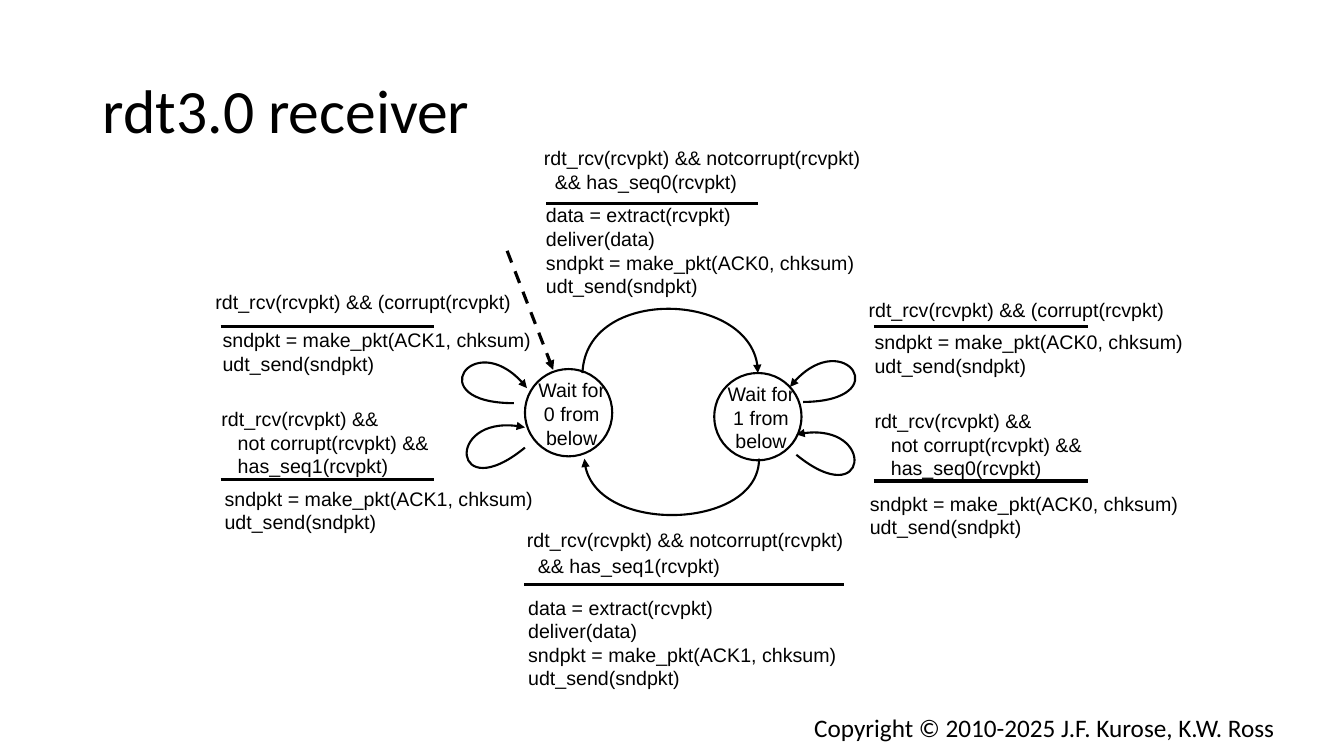
"""Build the rdt3.0 receiver state machine slide."""
from dataclasses import dataclass

from lxml import etree
from pptx import Presentation
from pptx.dml.color import RGBColor
from pptx.enum.dml import MSO_LINE
from pptx.enum.shapes import MSO_CONNECTOR, MSO_SHAPE
from pptx.enum.text import MSO_ANCHOR, PP_ALIGN
from pptx.oxml.ns import qn
from pptx.util import Cm, Pt

ELLIPSE = MSO_SHAPE.OVAL
STRAIGHT = MSO_CONNECTOR.STRAIGHT
DASH = MSO_LINE.DASH
LEFT, CENTER = PP_ALIGN.LEFT, PP_ALIGN.CENTER
TOP, MIDDLE = MSO_ANCHOR.TOP, MSO_ANCHOR.MIDDLE


@dataclass(frozen=True)
class Theme:
    """Colours, fonts, type sizes and line widths of the slide."""

    ink: RGBColor = RGBColor(0, 0, 0)
    paper: RGBColor = RGBColor(255, 255, 255)
    heading_font: str = "Calibri"
    diagram_font: str = "Arial"
    title: Pt = Pt(44)
    label: Pt = Pt(14)
    footer: Pt = Pt(18)
    thin: Pt = Pt(1.5)
    thick: Pt = Pt(2.25)


THEME = Theme()
LABEL_WIDTH = 9
LINE_HEIGHT = 0.59
STATE_SIZE = 2.2
LEFT_RULE = (5.56, 10.95)
RIGHT_RULE = (22.02, 27.41)


def add_text(page, lines, left, top, width, height, size=THEME.label,
             font=THEME.diagram_font, align=LEFT, anchor=TOP):
    """Add a wrapped text box with one paragraph per line and return its frame."""
    box = page.shapes.add_textbox(Cm(left), Cm(top), Cm(width), Cm(height))
    frame = box.text_frame
    frame.word_wrap = True
    frame.vertical_anchor = anchor
    frame.text = "\n".join(lines)
    for para in frame.paragraphs:
        para.alignment = align
        para.font.size = size
        para.font.name = font
        para.font.color.rgb = THEME.ink
    return frame


def add_label(page, lines, left, top):
    """Add transition text whose height follows its number of lines."""
    height = round(LINE_HEIGHT * len(lines) + 0.25, 2)
    return add_text(page, lines, left, top, LABEL_WIDTH, height)


def add_arrowhead(line):
    """Put a triangle at the end of a line."""
    etree.SubElement(line._get_or_add_ln(), qn("a:tailEnd"), type="triangle")


def add_line(page, start, end):
    """Add a thick straight line without a shadow."""
    points = [Cm(value) for value in (*start, *end)]
    connector = page.shapes.add_connector(STRAIGHT, *points)
    connector.line.color.rgb = THEME.ink
    connector.line.width = THEME.thick
    etree.SubElement(connector._element.spPr, qn("a:effectLst"))
    return connector


def add_curve(page, points):
    """Add a curved arrow from a start, two control points and an end."""
    start, *others = [(Cm(x), Cm(y)) for x, y in points]
    builder = page.shapes.build_freeform(*start)
    builder.add_line_segments(others, close=False)
    curve = builder.convert_to_shape()
    segments = list(curve._element.iter(qn("a:lnTo")))
    outline = segments[0].getparent()
    bezier = etree.SubElement(outline, qn("a:cubicBezTo"))
    for segment in segments:
        bezier.append(segment[0])
        outline.remove(segment)
    curve.shadow.inherit = False
    curve.fill.background()
    curve.line.color.rgb = THEME.ink
    curve.line.width = THEME.thin
    add_arrowhead(curve.line)


def add_state(page, number, left, top):
    """Add a state circle with its label."""
    circle = page.shapes.add_shape(
        ELLIPSE, Cm(left), Cm(top), Cm(STATE_SIZE), Cm(STATE_SIZE))
    circle.shadow.inherit = False
    circle.fill.solid()
    circle.fill.fore_color.rgb = THEME.paper
    circle.line.color.rgb = THEME.ink
    circle.line.width = THEME.thin
    add_text(page, ["Wait for", f"{number} from below"], left + 0.06, top + 0.11,
             2.24, 1.7, align=CENTER)


def add_transition(page, event, event_at, rule, rule_top, action, action_at, curve):
    """Add an event above a rule, its action below, and the curved arrow."""
    frame = add_label(page, event, *event_at)
    add_line(page, (rule[0], rule_top), (rule[1], rule_top))
    add_label(page, action, *action_at)
    add_curve(page, curve)
    return frame


def reply(number):
    """Return the lines that acknowledge a packet."""
    return [f"sndpkt = make_pkt(ACK{number}, chksum)", "udt_send(sndpkt)"]


def deliver(number):
    """Return the lines that deliver data and acknowledge it."""
    return ["data = extract(rcvpkt)", "deliver(data)", *reply(number)]


def expected(number):
    """Return the event of receiving the awaited packet."""
    return ["rdt_rcv(rcvpkt) && notcorrupt(rcvpkt)", f"  && has_seq{number}(rcvpkt)"]


def duplicate(number):
    """Return the event of receiving a duplicate packet."""
    return ["rdt_rcv(rcvpkt) &&", "   not corrupt(rcvpkt) &&",
            f"   has_seq{number}(rcvpkt)"]


def add_transitions(page):
    """Add the two state changes and the four self-loops."""
    corrupt = ["rdt_rcv(rcvpkt) && (corrupt(rcvpkt)"]
    frame = add_transition(
        page, expected(1), (13.03, 13.18), (13.21, 21.26), 14.73,
        deliver(1), (13.06, 14.88),
        [(19.13, 11.56), (19.13, 13.36), (14.81, 13.49), (14.73, 11.56)])
    frame.paragraphs[1].space_before = Pt(1.5)
    add_transition(
        page, expected(0), (13.46, 3.56), (13.77, 19.1), 5.13,
        deliver(0), (13.51, 5),
        [(14.68, 9.4), (14.76, 7.21), (19.1, 7.34), (19.1, 9.4)])
    add_transition(
        page, corrupt, (21.64, 7.37), RIGHT_RULE, 8.23, reply(0), (21.79, 8.2),
        [(20.24, 10.13), (22.61, 10.11), (21.21, 8.1), (19.91, 9.75)])
    add_transition(
        page, duplicate(0), (21.79, 10.19), RIGHT_RULE, 12.12,
        reply(0), (21.67, 12.27),
        [(20.07, 11.46), (21.89, 12.95), (22.1, 10.52), (20.07, 10.95)])
    add_transition(
        page, duplicate(1), (5.33, 10.13), LEFT_RULE, 12.09,
        reply(1), (5.41, 12.14),
        [(13.23, 11.28), (11.4, 12.78), (11.2, 10.34), (13.23, 10.77)])
    add_transition(
        page, corrupt, (5.18, 7.19), LEFT_RULE, 8.23, reply(1), (5.36, 8.15),
        [(12.95, 10.16), (10.59, 10.16), (11.99, 8.13), (13.28, 9.78)])


def main():
    """Build and save the deck."""
    deck = Presentation()
    deck.slide_width, deck.slide_height = Cm(33.87), Cm(19.05)
    page = deck.slides.add_slide(deck.slide_layouts[6])
    title = add_text(page, ["rdt3.0 receiver"], 2.34, 1.02, 29.21, 3.68,
                     THEME.title, THEME.heading_font, anchor=MIDDLE)
    title.paragraphs[0].line_spacing = 0.9
    add_state(page, 0, 13.23, 9.3)
    add_state(page, 1, 18, 9.4)
    entry = add_line(page, (12.78, 6.32), (13.94, 9.32))
    entry.line.dash_style = DASH
    add_arrowhead(entry.line)
    add_transitions(page)
    add_text(page, ["Copyright © 2010-2025 J.F. Kurose, K.W. Ross"],
             20.27, 17.83, 12.45, 1.02, THEME.footer, THEME.heading_font)
    deck.save("out.pptx")


if __name__ == "__main__":
    main()
